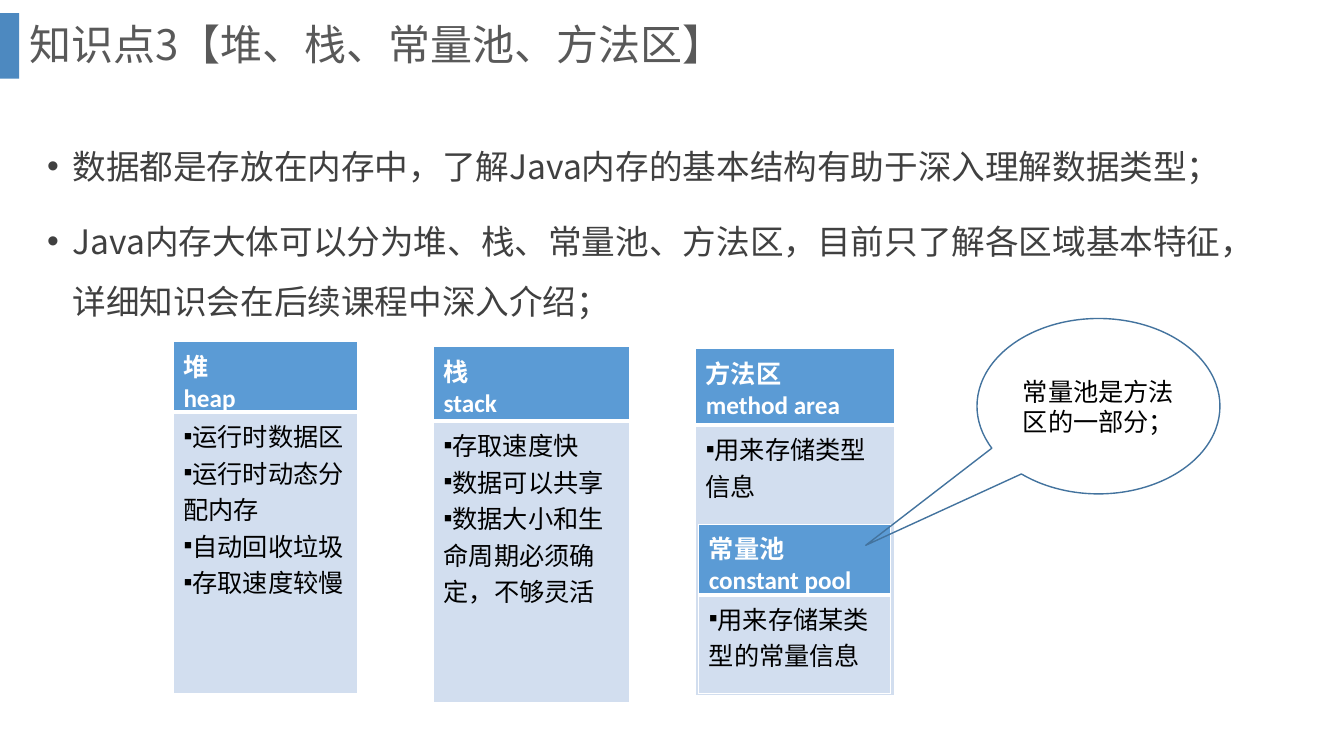
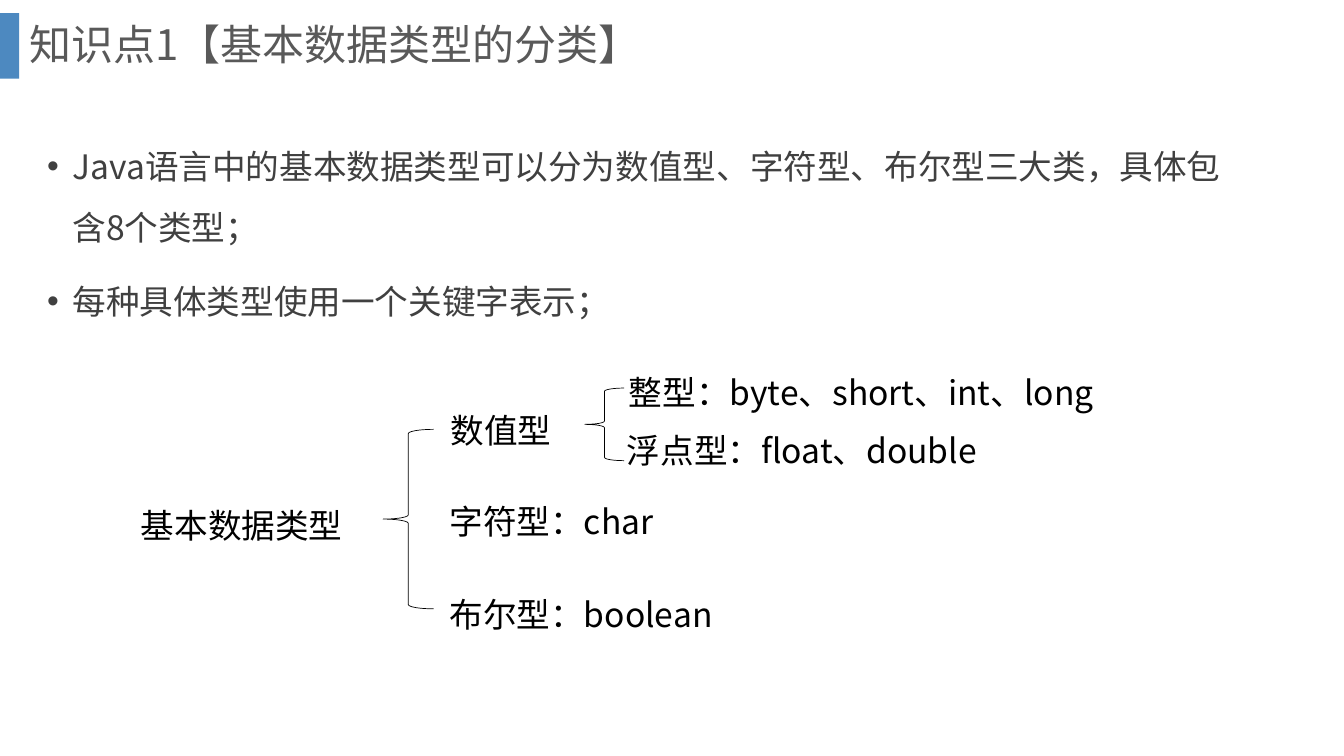
import pptx
import pptx.util
import pptx.dml.color
import pptx.enum.shapes
import pptx.enum.text
import pptx.oxml
import pptx.oxml.ns

NOTO, LATIN = "Noto Sans CJK SC", "Calibri"
BLACK, WHITE, BLUE, PALE = "000000", "FFFFFF", "5B9BD5", "D2DEEF"
BAND, EDGE, TITLE, BODY = "2E75B6", "43739E", "595959", "404040"
KIND = pptx.enum.shapes.MSO_SHAPE
ALIGN = pptx.enum.text.PP_ALIGN
MID = pptx.enum.text.MSO_ANCHOR.MIDDLE
NS = 'xmlns:a="http://schemas.openxmlformats.org/drawingml/2006/main"'

pages = [
    ("知识点3【堆、栈、常量池、方法区】", 1.93, [
        "数据都是存放在内存中，了解Java内存的基本结构有助于深入理解数据类型；",
        "Java内存大体可以分为堆、栈、常量池、方法区，目前只了解各区域基本特征，详细知识会在后续课程中深入介绍；"]),
    ("知识点1【基本数据类型的分类】", 2.41, [
        "Java语言中的基本数据类型可以分为数值型、字符型、布尔型三大类，具体包含8个类型；",
        "每种具体类型使用一个关键字表示；"]),
]
areas = [
    (1.72, 3.39, 1.83, (0.67, 2.79), ["堆", "heap"],
     ["运行时数据区", "运行时动态分配内存", "自动回收垃圾", "存取速度较慢"]),
    (4.3, 3.44, 1.94, (0.74, 2.79), ["栈", "stack"],
     ["存取速度快", "数据可以共享", "数据大小和生命周期必须确定，不够灵活"]),
    (6.9, 3.46, 1.97, (0.76, 2.68), ["方法区", "method area"],
     ["用来存储类型信息"]),
    (6.93, 5.2, 1.9, (0.68, 0.98), ["常量池\u00a0", "constant pool"],
     ["用来存储某类型的常量信息"]),
]
note = "常量池是方法区的一部分；"
tree = [
    (4.36, 5.84, 4.09, "布尔型：boolean"),
    (1.3, 4.96, 2.7, "基本数据类型"),
    (4.36, 4.92, 2.7, "字符型：char"),
    (4.37, 4.02, 2.7, "数值型"),
    (6.14, 3.64, 5.77, "整型：byte、short、int、long"),
    (6.12, 4.22, 5.64, "浮点型：float、double"),
]
braces = [(3.8, 4.26, 0.5, 1.78), (5.8, 3.85, 0.39, 0.72)]


def color(text):
    return pptx.dml.color.RGBColor.from_string(text)


def inches(*nums):
    return [pptx.util.Inches(n) for n in nums]


def node(xml):
    return pptx.oxml.parse_xml(xml.replace(">", f" {NS}>", 1) if "/>" not in xml.split(">")[0] + ">"
                               else xml.replace("/>", f" {NS}/>", 1))


def write(frame, lines, size, hue, face=NOTO, east=NOTO, bold=False, mark=None,
          space=None, gap=None, align=None, hang=0):
    frame.word_wrap = True
    for i, line in enumerate(lines):
        para = frame.paragraphs[0] if i == 0 else frame.add_paragraph()
        para.text = line
        font = para.font
        font.size, font.name, font.bold = pptx.util.Pt(size), face, bold
        font.color.rgb = color(hue)
        para.line_spacing, para.alignment = space, align
        if gap:
            para.space_before = pptx.util.Pt(gap)
        props = para._p.get_or_add_pPr()
        base = props.find(pptx.oxml.ns.qn("a:defRPr"))
        if east:
            latin = base.find(pptx.oxml.ns.qn("a:latin"))
            latin.addnext(node(f'<a:ea typeface="{east}"/>'))
        if mark:
            base.addprevious(node('<a:buFont typeface="Arial"/>'))
            base.addprevious(node(f'<a:buChar char="{mark}"/>'))
        if hang:
            step = pptx.util.Inches(hang)
            props.set("marL", str(step))
            props.set("indent", str(-step))


def label(slide, box, lines, size, hue, **style):
    frame = slide.shapes.add_textbox(*inches(*box)).text_frame
    write(frame, lines, size, hue, **style)
    return frame


def shape(slide, kind, box, fill=None, line=None, width=1):
    item = slide.shapes.add_shape(kind, *inches(*box))
    item.shadow.inherit = False
    if fill:
        item.fill.solid()
        item.fill.fore_color.rgb = color(fill)
    else:
        item.fill.background()
    if line:
        item.line.color.rgb = color(line)
        item.line.width = pptx.util.Pt(width)
    else:
        item.line.fill.background()
    return item


def start(title, high, points):
    slide = deck.slides.add_slide(deck.slide_layouts[6])
    band = shape(slide, KIND.RECTANGLE, (0, 0.13, 0.19, 0.65), BAND)
    tint = band._element.spPr.find(".//" + pptx.oxml.ns.qn("a:srgbClr"))
    tint.append(node('<a:alpha val="85000"/>'))
    label(slide, (0.37, 1.2, 12.05, high), points, 24, BODY,
          mark="•", space=1.5, gap=10, hang=0.25)
    head = label(slide, (0.19, 0, 12.66, 0.93), [title], 30, TITLE, space=0.9)
    head.vertical_anchor = MID
    return slide


def paint(cell, fill, low):
    cell.fill.solid()
    cell.fill.fore_color.rgb = color(fill)
    props = cell._tc.get_or_add_tcPr()
    for i, side in enumerate("LRTB"):
        width = pptx.util.Pt(low if side == "B" else 1)
        props.insert(i, node(f'<a:ln{side} w="{width}"><a:solidFill>'
                             f'<a:srgbClr val="{WHITE}"/></a:solidFill></a:ln{side}>'))


def area(slide, left, top, wide, rows, head, points):
    table = slide.shapes.add_table(2, 1, *inches(left, top, wide, sum(rows))).table
    table.horz_banding = False
    for row, high in zip(table.rows, rows):
        row.height = pptx.util.Inches(high)
    upper, lower = table.cell(0, 0), table.cell(1, 0)
    paint(upper, BLUE, 3)
    paint(lower, PALE, 1)
    lower._tc.tcPr.find(pptx.oxml.ns.qn("a:lnT")).set("w", str(pptx.util.Pt(3)))
    write(upper.text_frame, head, 18, WHITE, LATIN, bold=True)
    write(lower.text_frame, points, 18, BLACK, LATIN, mark="▪")


deck = pptx.Presentation()
deck.slide_width, deck.slide_height = inches(13.33, 7.5)
memory, types = [start(*page) for page in pages]

for item in areas:
    area(memory, *item)
bubble = shape(memory, KIND.OVAL_CALLOUT, (9.69, 3.16, 2.41, 1.74), line=EDGE)
bubble.adjustments[0], bubble.adjustments[1] = -0.958, 0.793
bubble.text_frame.vertical_anchor = MID
write(bubble.text_frame, [note], 18, BLACK, LATIN, east=None, align=ALIGN.CENTER)

for left, top, wide, text in tree:
    label(types, (left, top, wide, 0.5), [text], 24, BLACK)
for box in braces:
    shape(types, KIND.LEFT_BRACE, box, line=BLACK, width=0.5)

deck.save("out.pptx")
